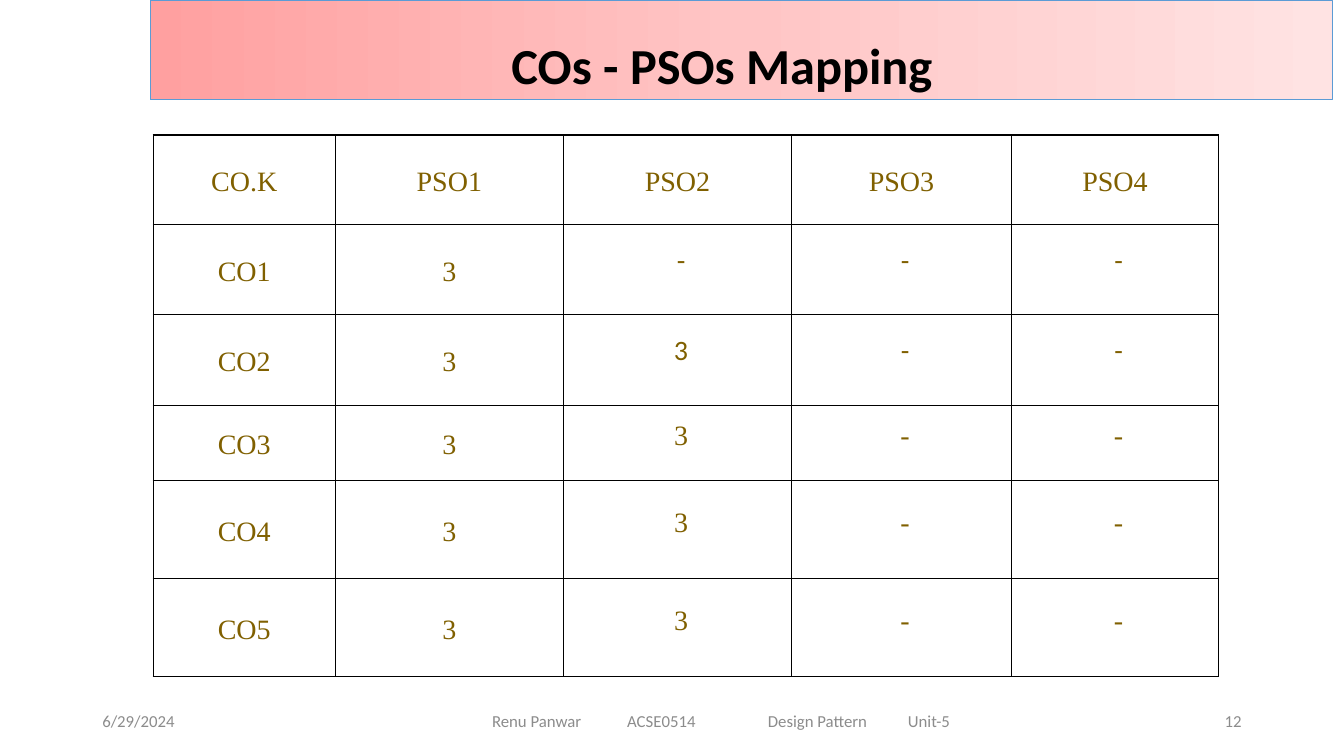
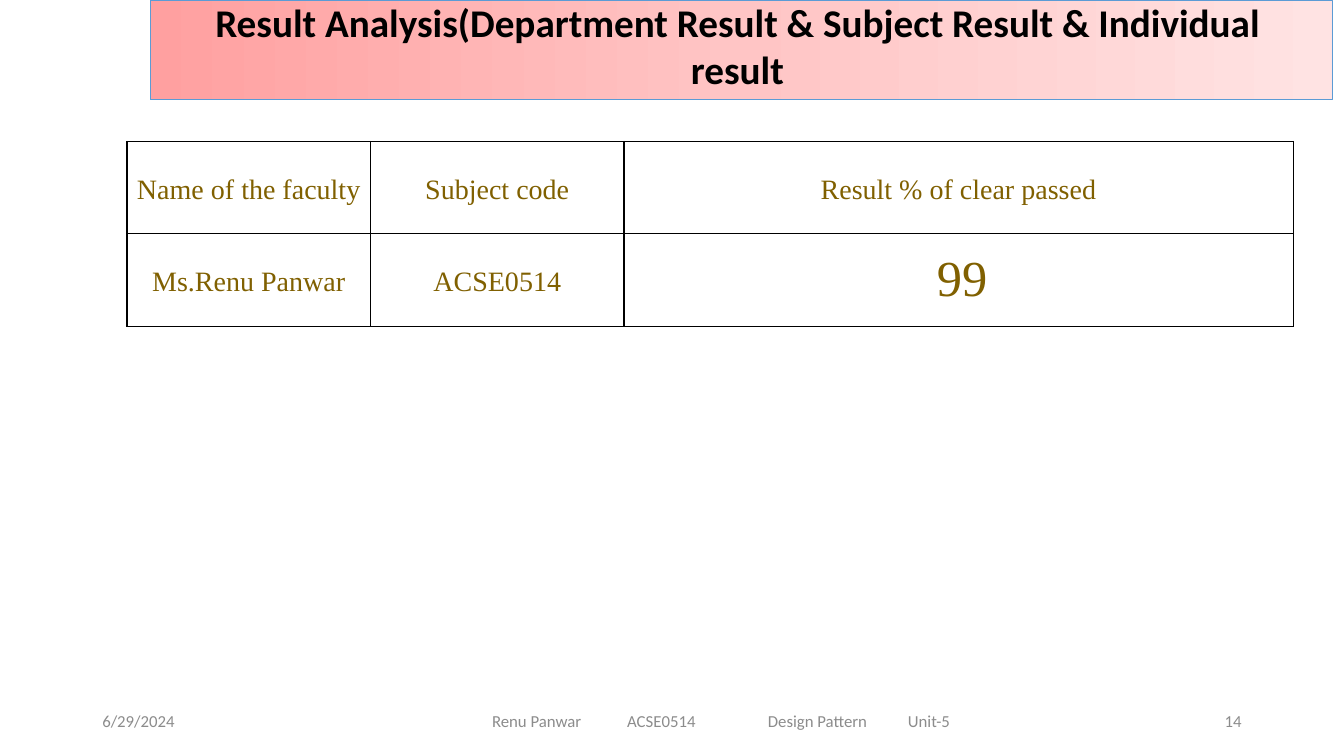
from copy import deepcopy
from dataclasses import dataclass, field, replace
from typing import Any, Optional

from lxml.etree import SubElement
from pptx import Presentation
from pptx.dml.color import RGBColor
from pptx.enum.shapes import MSO_SHAPE
from pptx.enum.text import MSO_ANCHOR, MSO_AUTO_SIZE, PP_ALIGN
from pptx.oxml import parse_xml
from pptx.oxml.ns import nsdecls, qn
from pptx.util import Pt

BLACK = RGBColor(0x00, 0x00, 0x00)
WHITE = RGBColor(0xFF, 0xFF, 0xFF)
GREY = RGBColor(0x8C, 0x8C, 0x8C)
OLIVE = RGBColor(0x80, 0x60, 0x00)
BAND_LINE = RGBColor(0x5B, 0x9B, 0xD5)
BAND_STOPS = (
    (0, RGBColor(0xFF, 0xA0, 0xA0)),
    (0.5, RGBColor(0xFF, 0xC5, 0xC5)),
    (1, RGBColor(0xFF, 0xE3, 0xE3)),
)
SANS = "Calibri"
SERIF = "Times New Roman"
TITLE_ONLY = 5
CELL_FRAME = {
    "margin_left": Pt(5),
    "margin_right": Pt(5),
    "margin_top": Pt(0),
    "margin_bottom": Pt(0),
    "vertical_anchor": MSO_ANCHOR.MIDDLE,
}


@dataclass(frozen=True)
class Box:
    left: float
    top: float
    width: float
    height: float

    def lengths(self) -> tuple[Pt, ...]:
        return tuple(Pt(value) for value in (self.left, self.top, self.width, self.height))


@dataclass(frozen=True)
class TextStyle:
    size: float
    name: str
    color: RGBColor
    bold: bool = False
    alignment: PP_ALIGN = PP_ALIGN.CENTER
    line_spacing: Optional[Any] = None
    indent: float = 0
    tabs: tuple[float, ...] = ()


@dataclass(frozen=True)
class Footer:
    text: str
    box: Box
    style: TextStyle
    inset: float = 7.2


@dataclass(frozen=True)
class TableSlide:
    title: str
    title_box: Box
    title_size: float
    number: str
    left: float
    top: float
    columns: tuple[float, ...]
    rows: tuple[float, ...]
    cells: tuple[tuple[str, ...], ...]
    special: dict[tuple[int, int], TextStyle] = field(default_factory=dict)


BAND = Box(107.3, 0, 844.6, 71.3)
FOOTER_TEXT = TextStyle(12, SANS, GREY, alignment=PP_ALIGN.LEFT)
LABEL = TextStyle(20, SERIF, OLIVE, line_spacing=1.15)
RATING = replace(LABEL, line_spacing=Pt(12.3), indent=5)
SANS_RATING = replace(RATING, name=SANS)
PERCENTAGE = replace(LABEL, size=36, line_spacing=None, indent=5)

MAPPING_ROWS = (
    ("CO.K", "PSO1", "PSO2", "PSO3", "PSO4"),
    ("CO1", "3", "-", "-", "-"),
    *((f"CO{number}", "3", "3", "-", "-") for number in range(2, 6)),
)
SLIDES = (
    TableSlide(
        "COs - PSOs Mapping", Box(275.8, 20.9, 480, 51), 36, "12",
        109.5, 96.5, (130, 163, 163, 157, 148), (64, 64, 65, 54, 70, 70),
        MAPPING_ROWS,
        {
            (row, column): SANS_RATING if row < 3 else RATING
            for row in range(1, 6)
            for column in range(2, 5)
        },
    ),
    TableSlide(
        "Result Analysis(Department Result & Subject Result & Individual result",
        Box(116, -5, 821.5, 75), 28, "14",
        90.7, 101, (174, 181, 478), (66, 66),
        (
            ("Name of the faculty", "Subject code", "Result % of clear passed"),
            ("Ms.Renu Panwar", "ACSE0514", "99"),
        ),
        {(1, 2): PERCENTAGE},
    ),
)


def set_attributes(target: Any, values: dict[str, Any]) -> None:
    """Set each named attribute of the target."""
    for name, value in values.items():
        setattr(target, name, value)


def write_text(frame: Any, text: str, style: TextStyle) -> None:
    """Write one styled paragraph into a text frame."""
    paragraph = frame.paragraphs[0]
    set_attributes(paragraph, {"alignment": style.alignment, "line_spacing": style.line_spacing})
    properties = paragraph._p.get_or_add_pPr()
    if style.indent:
        properties.set("marL", str(Pt(style.indent)))
        properties.set("indent", "0")
    if style.tabs:
        tab_list = SubElement(properties, qn("a:tabLst"))
        for position in style.tabs:
            SubElement(tab_list, qn("a:tab"), pos=str(Pt(position)), algn="l")
    run = paragraph.add_run()
    run.text = text
    set_attributes(run.font, {"size": Pt(style.size), "name": style.name, "bold": style.bold})
    run.font.color.rgb = style.color


def add_band(slide: Any) -> None:
    """Draw the gradient band behind the title."""
    band = slide.shapes.add_shape(MSO_SHAPE.RECTANGLE, *BAND.lengths())
    band.shadow.inherit = False
    band.fill.gradient()
    band.fill.gradient_angle = 0
    stop_list = band.element.spPr.find(f".//{qn('a:gsLst')}")
    stop_list.append(deepcopy(stop_list[0]))
    for stop, (position, color) in zip(band.fill.gradient_stops, BAND_STOPS):
        stop.position = position
        stop.color.rgb = color
    band.line.color.rgb = BAND_LINE
    band.line.width = Pt(0.5)
    slide.shapes.element.insert(2, band.element)


def add_title(slide: Any, content: TableSlide) -> None:
    """Place and format the title placeholder."""
    title = slide.shapes.title
    names = ("left", "top", "width", "height")
    set_attributes(title, dict(zip(names, content.title_box.lengths())))
    frame = title.text_frame
    set_attributes(frame, {
        "word_wrap": True,
        "auto_size": MSO_AUTO_SIZE.NONE,
        "vertical_anchor": MSO_ANCHOR.TOP,
    })
    write_text(frame, content.title, TextStyle(content.title_size, SANS, BLACK, bold=True))


def add_footers(slide: Any, number: str) -> None:
    """Add the date, course line and slide number."""
    footers = (
        Footer("6/29/2024", Box(66, 500.4, 216, 28.8), FOOTER_TEXT),
        Footer(
            "Renu Panwar\tACSE0514\tDesign Pattern\tUnit-5",
            Box(318, 500.4, 396, 28.8),
            replace(FOOTER_TEXT, tabs=(96.5, 197, 297)),
            33.5,
        ),
        Footer(number, Box(678, 500.4, 216, 28.8),
               replace(FOOTER_TEXT, alignment=PP_ALIGN.RIGHT)),
    )
    for footer in footers:
        frame = slide.shapes.add_textbox(*footer.box.lengths()).text_frame
        set_attributes(frame, {
            "word_wrap": True,
            "vertical_anchor": MSO_ANCHOR.MIDDLE,
            "margin_left": Pt(footer.inset),
        })
        write_text(frame, footer.text, footer.style)


def add_borders(cell: Any) -> None:
    """Outline a cell with thin black lines."""
    properties = cell._tc.get_or_add_tcPr()
    for index, side in enumerate(("lnL", "lnR", "lnT", "lnB")):
        properties.insert(index, parse_xml(
            f'<a:{side} {nsdecls("a")} w="{Pt(1)}"><a:solidFill>'
            f'<a:srgbClr val="{BLACK}"/></a:solidFill></a:{side}>'
        ))


def add_content_table(slide: Any, content: TableSlide) -> None:
    """Add the bordered table of a slide."""
    box = Box(content.left, content.top, sum(content.columns), sum(content.rows))
    table = slide.shapes.add_table(
        len(content.rows), len(content.columns), *box.lengths()
    ).table
    set_attributes(table, {"first_row": False, "horz_banding": False})
    for column, width in zip(table.columns, content.columns):
        column.width = Pt(width)
    for row, height in zip(table.rows, content.rows):
        row.height = Pt(height)
    for row_index, texts in enumerate(content.cells):
        for column_index, text in enumerate(texts):
            cell = table.cell(row_index, column_index)
            set_attributes(cell, CELL_FRAME)
            cell.fill.solid()
            cell.fill.fore_color.rgb = WHITE
            add_borders(cell)
            style = content.special.get((row_index, column_index), LABEL)
            write_text(cell.text_frame, text, style)


def main() -> None:
    """Build and save the presentation."""
    presentation = Presentation()
    set_attributes(presentation, {"slide_width": Pt(960), "slide_height": Pt(540)})
    for content in SLIDES:
        slide = presentation.slides.add_slide(presentation.slide_layouts[TITLE_ONLY])
        add_band(slide)
        add_title(slide, content)
        add_footers(slide, content.number)
        add_content_table(slide, content)
    presentation.save("out.pptx")


if __name__ == "__main__":
    main()
